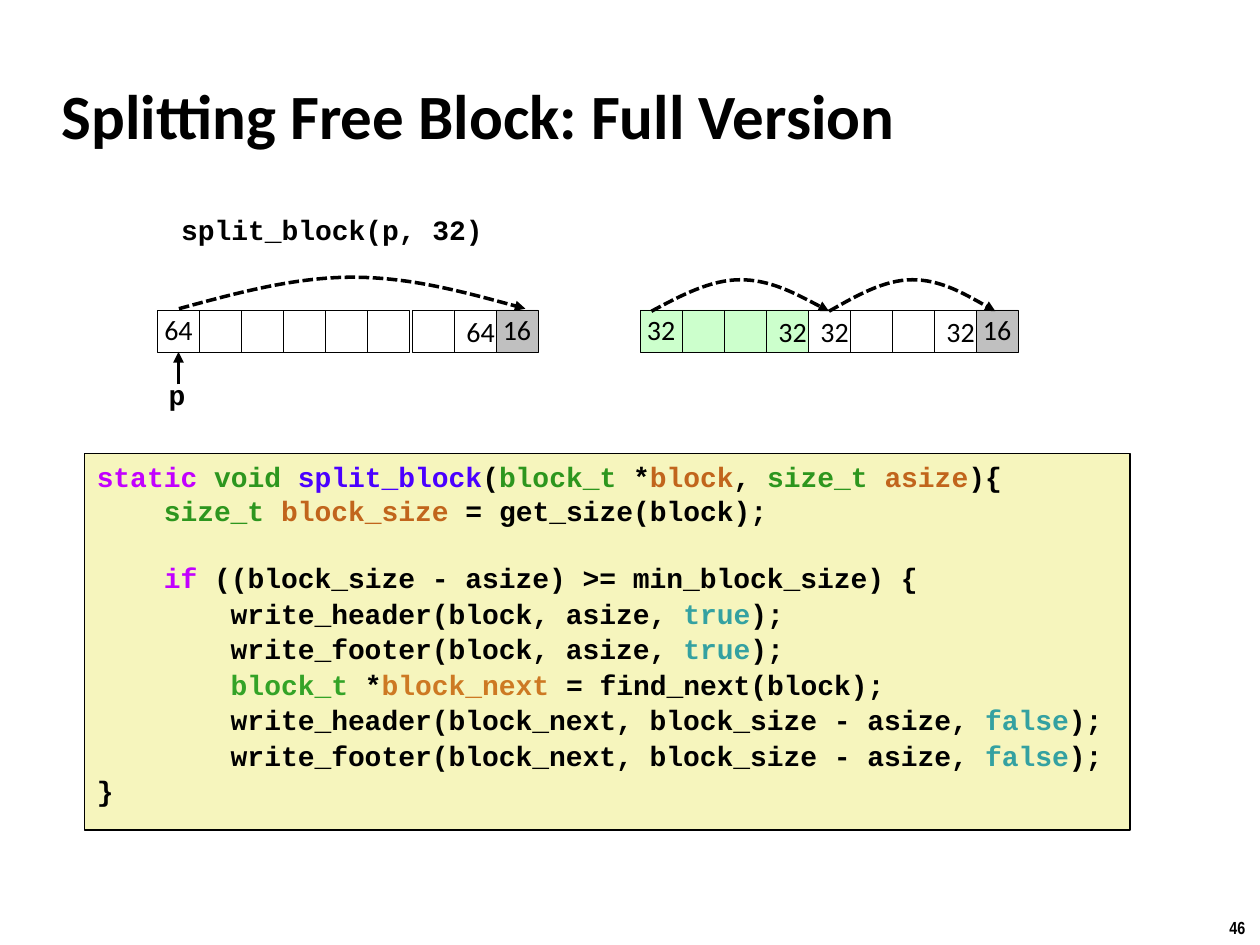
import pptx
import pptx.util
import pptx.dml.color
import pptx.enum.dml
import pptx.enum.shapes
import pptx.enum.text
import pptx.oxml
from lxml import etree
from pptx.oxml.ns import qn

Inch, Pt = pptx.util.Inches, pptx.util.Pt
ALIGN = pptx.enum.text.PP_ALIGN
MID = pptx.enum.text.MSO_ANCHOR.MIDDLE
TOP = pptx.enum.text.MSO_ANCHOR.TOP

HUES = {
    "ink": "000000", "free": "FFFFFF", "used": "CCFFCC", "next": "C0C0C0",
    "panel": "F6F5BD", "key": "C200FF", "type": "2D961E", "func": "4A00FF",
    "var": "C1651C", "bool": "34A1A1", "type2": "34A327", "var2": "CD7923",
}
CELL = 1 / 3      # side of one memory word
ROW = 2.46        # top of both block rows
LEFT, RIGHT = 1.25, 5.08

# Code lines as (colour, text) pieces
CODE = [
    [("key", "static "), ("type", "void "), ("func", "split_block"),
     ("ink", "("), ("type", "block_t"), ("ink", " *"), ("var", "block"),
     ("ink", ", "), ("type", "size_t "), ("var", "asize"), ("ink", "){")],
    [("type", "    size_t "), ("var", "block_size"),
     ("ink", " = get_size(block);")],
    [("ink", "    ")],
    [("key", "    if"),
     ("ink", " ((block_size - asize) >= min_block_size) {")],
    [("ink", "        write_header(block, asize, "), ("bool", "true"),
     ("ink", ");")],
    [("ink", "        write_footer(block, asize, "), ("bool", "true"),
     ("ink", ");")],
    [("type2", "        block_t"), ("ink", " *"), ("var2", "block_next"),
     ("ink", " = find_next(block);")],
    [("ink", "        write_header(block_next, block_size - asize, "),
     ("bool", "false"), ("ink", ");")],
    [("ink", "        write_footer(block_next, block_size - asize, "),
     ("bool", "false"), ("ink", ");")],
    [("ink", "}")],
]


def tint(name):
    return pptx.dml.color.RGBColor.from_string(HUES[name])


def style(font, face, size, bold=False, hue="ink"):
    font.name, font.size, font.bold = face, Pt(size), bold
    font.color.rgb = tint(hue)


def write(shape, text, face="Calibri", size=16, bold=False,
          align=ALIGN.LEFT, anchor=TOP, gap=None):
    frame = shape.text_frame
    frame.text = text
    frame.word_wrap = False
    frame.vertical_anchor = anchor
    para = frame.paragraphs[0]
    para.alignment, para.line_spacing = align, gap
    style(para.runs[0].font, face, size, bold)


def label(slide, box, text, inset=0.1, **kind):
    shape = slide.shapes.add_textbox(*map(Inch, box))
    frame = shape.text_frame
    frame.margin_left = frame.margin_right = Inch(inset)
    write(shape, text, **kind)


def rect(slide, box, hue, width):
    kind = pptx.enum.shapes.MSO_SHAPE.RECTANGLE
    shape = slide.shapes.add_shape(kind, *map(Inch, box))
    shape.shadow.inherit = False
    shape.fill.solid()
    shape.fill.fore_color.rgb = tint(hue)
    shape.line.color.rgb = tint("ink")
    shape.line.width = Pt(width)
    return shape


def cells(slide, left, words):
    """Draw a row of words, each (colour, text, alignment)."""
    row = []
    for col, (hue, text, align) in enumerate(words):
        shape = rect(slide, (left + col * CELL, ROW, CELL, CELL), hue, 0.25)
        if text:
            gap = 0.98 if align == ALIGN.CENTER else None
            write(shape, text, align=align, anchor=MID, gap=gap)
        row.append(shape)
    return row


def ink_line(shape):
    """Give a line its black stroke and arrowhead."""
    shape.line.color.rgb = tint("ink")
    shape.line.width = Pt(2)
    stroke = shape._element.xpath(".//a:ln")[0]
    etree.SubElement(stroke, qn("a:tailEnd"), type="triangle")


def arc(slide, start, end, base):
    """Draw a dashed link arching over the cells."""
    rise = 0.25
    shares = [(1, 0.5), (2, 1), (3, 1), (4, 1), (5, 0.5), (6, 0)]
    points = [(Inch(start + (end - start) * step / 6),
               Inch(base - rise * high)) for step, high in shares]
    build = slide.shapes.build_freeform(Inch(start), Inch(base))
    build.add_line_segments(points, close=False)
    shape = build.convert_to_shape()
    shape.shadow.inherit = False
    shape.fill.background()
    shape.line.dash_style = pptx.enum.dml.MSO_LINE.SQUARE_DOT
    ink_line(shape)
    # Turn each three straight steps into one cubic curve
    steps = shape._element.xpath(".//a:lnTo")
    for first in range(0, len(steps), 3):
        curve = etree.Element(qn("a:cubicBezTo"))
        steps[first].addprevious(curve)
        for step in steps[first:first + 3]:
            curve.append(step[0])
            step.getparent().remove(step)


def arrow(slide, cell):
    kind = pptx.enum.shapes.MSO_CONNECTOR.STRAIGHT
    foot = Inch(LEFT + CELL / 2)
    line = slide.shapes.add_connector(kind, foot, Inch(3.05), foot, Inch(2.8))
    line.end_connect(cell, 2)
    ink_line(line)
    etree.SubElement(line._element.spPr, qn("a:effectLst"))


def listing(slide):
    shape = rect(slide, (0.67, 3.6, 8.3, 2.99), "panel", 1)
    frame = shape.text_frame
    frame.word_wrap = False
    frame.vertical_anchor = TOP
    for num, line in enumerate(CODE):
        para = frame.paragraphs[0] if num == 0 else frame.add_paragraph()
        para.alignment = ALIGN.LEFT
        para.line_spacing = 1.0 if num < 4 else 1.06
        for hue, text in line:
            run = para.add_run()
            run.text = text
            style(run.font, "Courier New", 16, True, hue)


def main():
    deck = pptx.Presentation()
    deck.slide_width, deck.slide_height = Inch(10), Inch(7.5)
    slide = deck.slides.add_slide(deck.slide_layouts[5])

    # Title and page number
    title = slide.shapes.title
    title.left, title.top, title.width, title.height = map(
        Inch, (0.39, 0.49, 8.3, 0.83))
    write(title, "Splitting Free Block: Full Version", size=36, bold=True,
          anchor=MID)
    label(slide, (9.66, 7.23, 0.34, 0.27), "46", face="Arial Narrow",
          size=10, bold=True)

    # Block before the split
    mid, side = ALIGN.CENTER, ALIGN.LEFT
    blank = ("free", "", mid)
    last = ("next", "16", mid)
    head = cells(slide, LEFT, [("free", "64", mid)] + [blank] * 5)
    cells(slide, LEFT + 6 * CELL + 0.02,
          [blank, ("free", "64", side), last])
    arc(slide, 1.42, 4.17, 2.45)
    arrow(slide, head[0])
    label(slide, (1.24, 2.96, 0.32, 0.37), "p", face="Courier New",
          bold=True, gap=0.98)
    label(slide, (1.37, 1.68, 2.53, 0.34), "split_block(p, 32)", inset=0.05,
          face="Courier New", bold=True, align=mid, gap=0.85)

    # Blocks after the split
    taken = ("used", "", mid)
    cells(slide, RIGHT, [("used", "32", mid), taken, taken,
                         ("used", "32", side), blank, blank, blank,
                         ("free", "32", side), last])
    label(slide, (RIGHT + 4 * CELL, ROW, 0.43, 0.37), "32", gap=0.98)
    arc(slide, 5.17, 6.58, 2.47)
    arc(slide, 6.58, 7.9, 2.47)

    listing(slide)
    deck.save("out.pptx")


if __name__ == "__main__":
    main()
